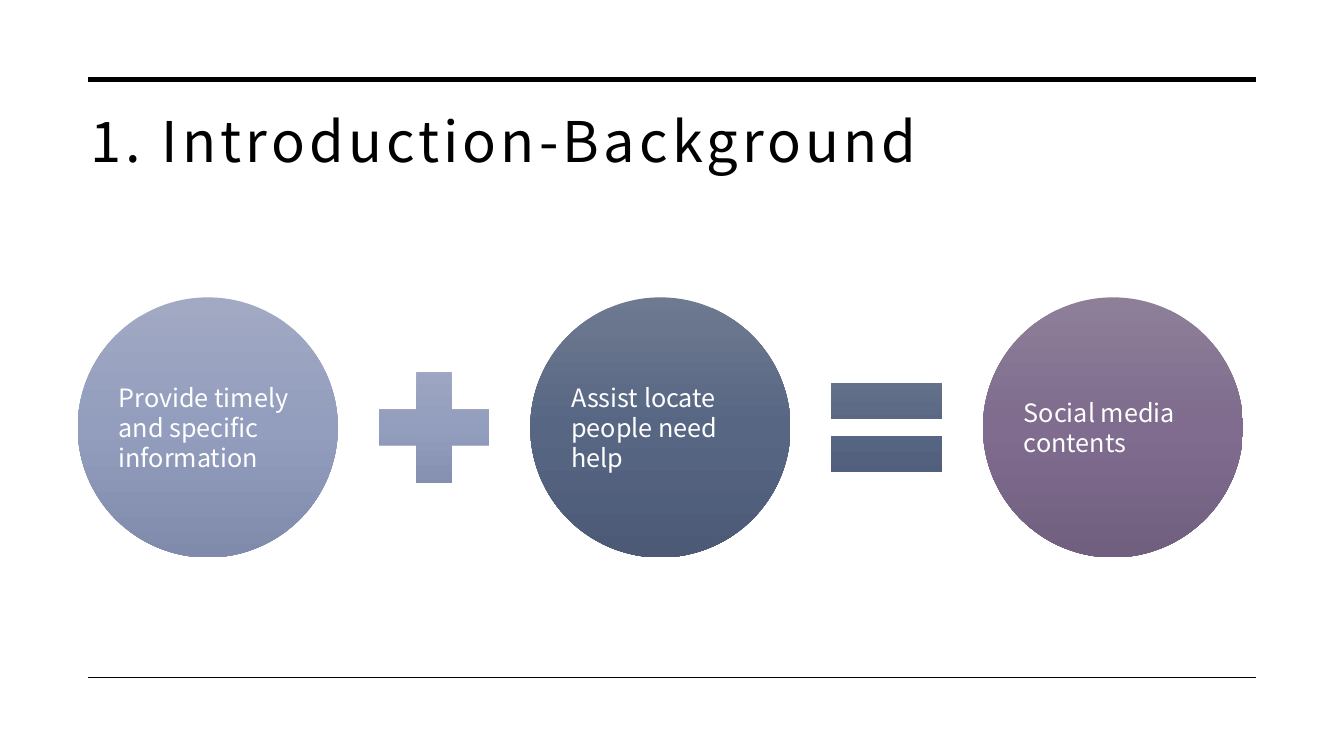
from copy import deepcopy

from pptx import Presentation
from pptx.dml.color import RGBColor
from pptx.enum import shapes, text
from pptx.oxml.ns import qn
from pptx.util import Pt

# Content
TITLE = "1. Introduction-Background"
FONT = "Noto Sans CJK SC"
COLORS = {"black": "000000", "white": "FFFFFF"}
GRADIENTS = {
    "periwinkle": ("A1A9C3", "939DBD", "808AAA"),
    "slate": ("6E7A90", "576683", "4C5A76"),
    "plum": ("8E7F99", "7F6C8E", "715F7F"),
}
# Circle text, gradient, and the operator that follows
TERMS = [
    ("Provide timely and specific information", "periwinkle", shapes.MSO_SHAPE.MATH_PLUS),
    ("Assist locate people need help", "slate", shapes.MSO_SHAPE.MATH_EQUAL),
    ("Social media contents", "plum", None),
]
RULES = [(57, 3.5), (483.75, 1)]  # y, line width

# Layout in points
RULE_LEFT, RULE_RIGHT = 63, 897
EQUATION_LEFT, EQUATION_MIDDLE = 55.5, 305.3
CIRCLE, OPERATOR, GAP = 185.8, 107.5, 15

presentation = Presentation()
presentation.slide_width, presentation.slide_height = Pt(960), Pt(540)
slide = presentation.slides.add_slide(presentation.slide_layouts[6])


def add_gradient_shape(kind, left, size, gradient):
    shape = slide.shapes.add_shape(
        kind, Pt(left), Pt(EQUATION_MIDDLE - size / 2), Pt(size), Pt(size))
    shape.shadow.inherit = False
    shape.line.fill.background()
    shape.fill.gradient()
    shape.fill.gradient_angle = 270
    stop_list = shape._element.spPr.find(".//" + qn("a:gsLst"))
    stop_list.insert(1, deepcopy(stop_list[0]))
    for index, stop in enumerate(shape.fill.gradient_stops):
        stop.position = index / 2
        stop.color.rgb = RGBColor.from_string(GRADIENTS[gradient][index])
    return shape


def write(shape, words, size, color, margins, anchor, spacing):
    frame = shape.text_frame
    frame.word_wrap = True
    frame.vertical_anchor = anchor
    (frame.margin_left, frame.margin_top,
     frame.margin_right, frame.margin_bottom) = map(Pt, margins)
    paragraph = frame.paragraphs[0]
    paragraph.text = words
    paragraph.alignment = text.PP_ALIGN.LEFT
    paragraph.line_spacing = spacing
    paragraph.font.name = FONT
    paragraph.font.size = Pt(size)
    paragraph.font.color.rgb = RGBColor.from_string(COLORS[color])
    return paragraph


# Horizontal rules
for y, width in RULES:
    rule = slide.shapes.add_connector(
        shapes.MSO_CONNECTOR.STRAIGHT, Pt(RULE_LEFT), Pt(y), Pt(RULE_RIGHT), Pt(y))
    rule.line.width = Pt(width)
    rule.line.color.rgb = RGBColor.from_string(COLORS["black"])
    properties = rule._element.spPr
    properties.append(properties.makeelement(qn("a:effectLst"), {}))

# Title with letter spacing of 3 pt
title = slide.shapes.add_textbox(Pt(55.5), Pt(72.7), Pt(841.7), Pt(88.5))
heading = write(title, TITLE, 40, "black", (9, 9, 9, 7), text.MSO_ANCHOR.TOP, 0.9)
heading.runs[0].font._element.set("spc", "300")

# Equation of circles and operators
for index, (words, gradient, operator) in enumerate(TERMS):
    left = EQUATION_LEFT + index * (CIRCLE + OPERATOR + 2 * GAP)
    circle = add_gradient_shape(shapes.MSO_SHAPE.OVAL, left, CIRCLE, gradient)
    write(circle, words, 18, "white", (2, 2, 2, 2), text.MSO_ANCHOR.MIDDLE, 1)
    if operator is not None:
        add_gradient_shape(operator, left + CIRCLE + GAP, OPERATOR, gradient)

presentation.save("out.pptx")
